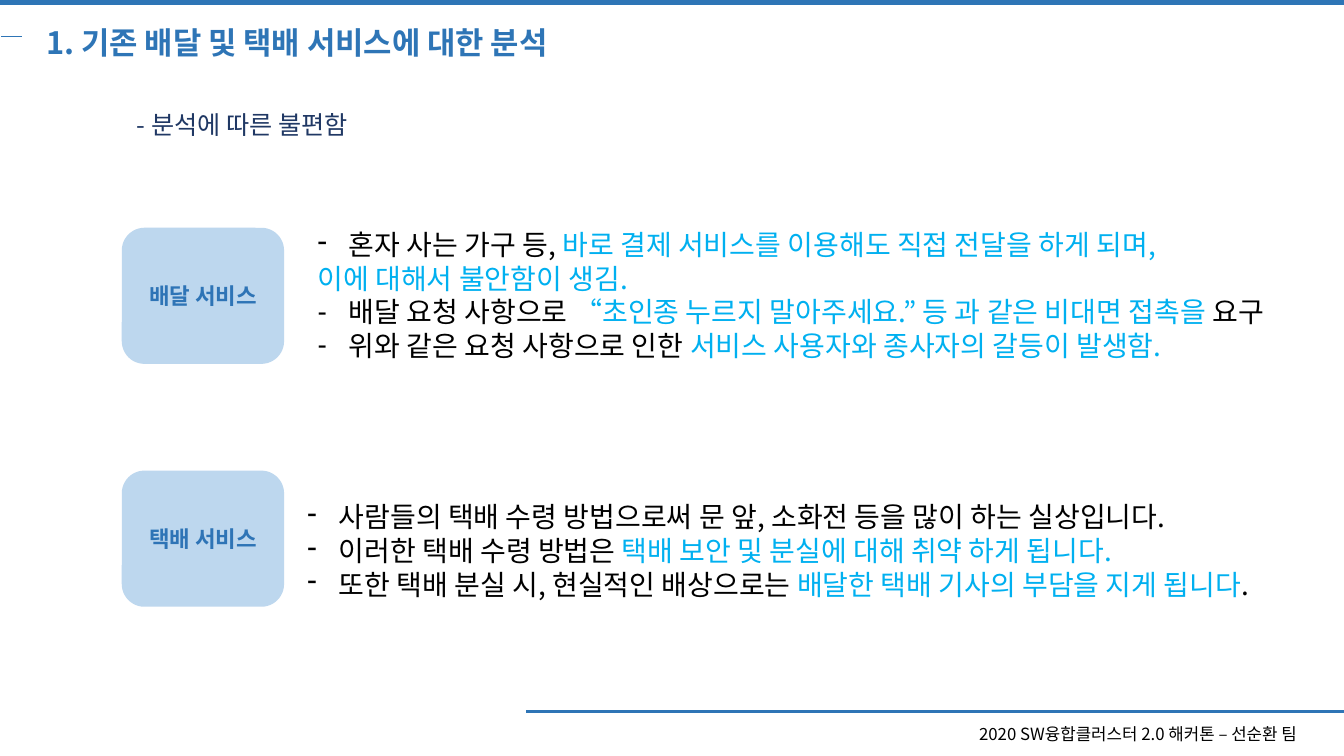
from lxml import etree
from pptx import Presentation
from pptx.dml.color import RGBColor
from pptx.enum.shapes import MSO_CONNECTOR, MSO_SHAPE
from pptx.enum.text import MSO_ANCHOR, MSO_AUTO_SIZE, PP_ALIGN
from pptx.oxml.ns import qn
from pptx.util import Cm, Pt

STRAIGHT = MSO_CONNECTOR.STRAIGHT
ROUNDED = MSO_SHAPE.ROUNDED_RECTANGLE
LEFT, CENTER = PP_ALIGN.LEFT, PP_ALIGN.CENTER
TOP, MIDDLE = MSO_ANCHOR.TOP, MSO_ANCHOR.MIDDLE
NO_AUTOSIZE = MSO_AUTO_SIZE.NONE

BLUE = RGBColor(0x2E, 0x75, 0xB6)
LABEL_BLUE = RGBColor(0x2E, 0x74, 0xB6)
PALE_BLUE = RGBColor(0xBD, 0xD7, 0xEE)
NAVY = RGBColor(0x20, 0x38, 0x64)
SKY = RGBColor(0x00, 0xB0, 0xF0)
BLACK = RGBColor(0, 0, 0)
FONT = "Noto Sans CJK KR"

WIDTH, HEIGHT = 33.87, 19.05
TITLE = "1. 기존 배달 및 택배 서비스에 대한 분석"
SUBTITLE = "- 분석에 따른 불편함"
FOOTER = "2020 SW융합클러스터 2.0 해커톤 – 선순환 팀"

DELIVERY = [
    (True, [("혼자 사는 가구 등, ", BLACK),
            ("바로 결제 서비스를 이용해도 직접 전달을 하게 되며,", SKY)]),
    (False, [("이에 대해서 불안함이 생김.", SKY)]),
    (True, [("배달 요청 사항으로 ", BLACK),
            ("“초인종 누르지 말아주세요.” 등 과 같은 비대면 접촉을 ", SKY),
            ("요구", BLACK)]),
    (True, [("위와 같은 요청 사항으로 인한 ", BLACK),
            ("서비스 사용자와 종사자의 갈등이 발생함.", SKY)]),
]
PARCEL = [
    (True, [("사람들의 택배 수령 방법으로써 문 앞, 소화전 등을 많이 하는 실상입니다.", BLACK)]),
    (True, [("이러한 택배 수령 방법은 ", BLACK),
            ("택배 보안 및 분실에 대해 취약 하게 됩니다.", SKY)]),
    (True, [("또한 택배 분실 시, 현실적인 배상으로는 ", BLACK),
            ("배달한 택배 기사의 부담을 지게 됩니다", SKY), (".", BLACK)]),
]
SERVICES = [
    ("배달 서비스", 5.74, DELIVERY, (7.75, 5.61, 25.4, 3.68)),
    ("택배 서비스", 11.86, PARCEL, (7.49, 12.47, 25.07, 2.82)),
]
RULES = [
    (0, 0.05, WIDTH, 4.5),
    (0.03, 0.91, 0.56, 0.5),
    (13.26, 17.93, WIDTH, 2.25),
]


def style_run(run, size, color, bold=False):
    """Format a run with the slide font for Latin and Korean text."""
    font = run.font
    font.size, font.bold, font.name = Pt(size), bold, FONT
    font.color.rgb = color
    east_asian = etree.Element(qn("a:ea"), typeface=FONT)
    run._r.get_or_add_rPr().find(qn("a:latin")).addnext(east_asian)


def place(shape, left, top, width, height):
    """Move and resize a shape, in centimetres."""
    shape.left, shape.top = Cm(left), Cm(top)
    shape.width, shape.height = Cm(width), Cm(height)


def set_line(shape, text, size, color, bold=False, align=LEFT):
    """Write one formatted, vertically centred line into a shape."""
    frame = shape.text_frame
    frame.text = text
    frame.word_wrap, frame.auto_size = True, NO_AUTOSIZE
    frame.vertical_anchor = MIDDLE
    paragraph = frame.paragraphs[0]
    paragraph.alignment = align
    style_run(paragraph.runs[0], size, color, bold)


def add_label(slide, box, text, size, color, align=LEFT):
    """Add a one-line text box."""
    textbox = slide.shapes.add_textbox(*map(Cm, box))
    set_line(textbox, text, size, color, align=align)


def fill_list(placeholder, items):
    """Write dashed and plain paragraphs into a body placeholder."""
    frame = placeholder.text_frame
    frame.word_wrap, frame.auto_size = True, NO_AUTOSIZE
    frame.vertical_anchor = TOP
    for index, (bulleted, parts) in enumerate(items):
        paragraph = frame.add_paragraph() if index else frame.paragraphs[0]
        paragraph.alignment = LEFT
        paragraph.space_before = Pt(0)
        paragraph.line_spacing = Pt(24)
        properties = paragraph._p.get_or_add_pPr()
        indent = Cm(0.79) if bulleted else 0
        properties.set("marL", str(indent))
        properties.set("indent", str(-indent))
        if bulleted:
            etree.SubElement(properties, qn("a:buFontTx"))
            etree.SubElement(properties, qn("a:buChar"), char="-")
        else:
            etree.SubElement(properties, qn("a:buNone"))
        for text, color in parts:
            run = paragraph.add_run()
            run.text = text
            style_run(run, 20, color)


def add_rule(slide, left, top, right, weight):
    """Draw a horizontal blue rule."""
    rule = slide.shapes.add_connector(STRAIGHT, Cm(left), Cm(top), Cm(right), Cm(top))
    rule.line.color.rgb = BLUE
    rule.line.width = Pt(weight)
    etree.SubElement(rule._element.spPr, qn("a:effectLst"))


def add_service(slide, placeholder, name, top, items, list_box):
    """Add a service tile and its list of issues."""
    tile = slide.shapes.add_shape(ROUNDED, Cm(3.07), Cm(top), Cm(4.09), Cm(3.43))
    tile.shadow.inherit = False
    tile.fill.solid()
    tile.fill.fore_color.rgb = PALE_BLUE
    tile.line.fill.background()
    set_line(tile, name, 16, LABEL_BLUE, True, CENTER)
    place(placeholder, *list_box)
    fill_list(placeholder, items)


def main():
    """Build and save the slide."""
    presentation = Presentation()
    presentation.slide_width, presentation.slide_height = Cm(WIDTH), Cm(HEIGHT)
    slide = presentation.slides.add_slide(presentation.slide_layouts[3])
    title, *bodies = slide.placeholders
    place(title, 0.91, 0.48, 15.54, 1.19)
    set_line(title, TITLE, 22, BLUE, True)
    add_label(slide, (3.2, 2.62, 19, 1.02), SUBTITLE, 18, NAVY)
    for body, service in zip(bodies, SERVICES):
        add_service(slide, body, *service)
    for rule in RULES:
        add_rule(slide, *rule)
    add_label(slide, (23.83, 18.11, 9.7, 0.76), FOOTER, 12, BLACK, CENTER)
    presentation.save("out.pptx")


if __name__ == "__main__":
    main()
